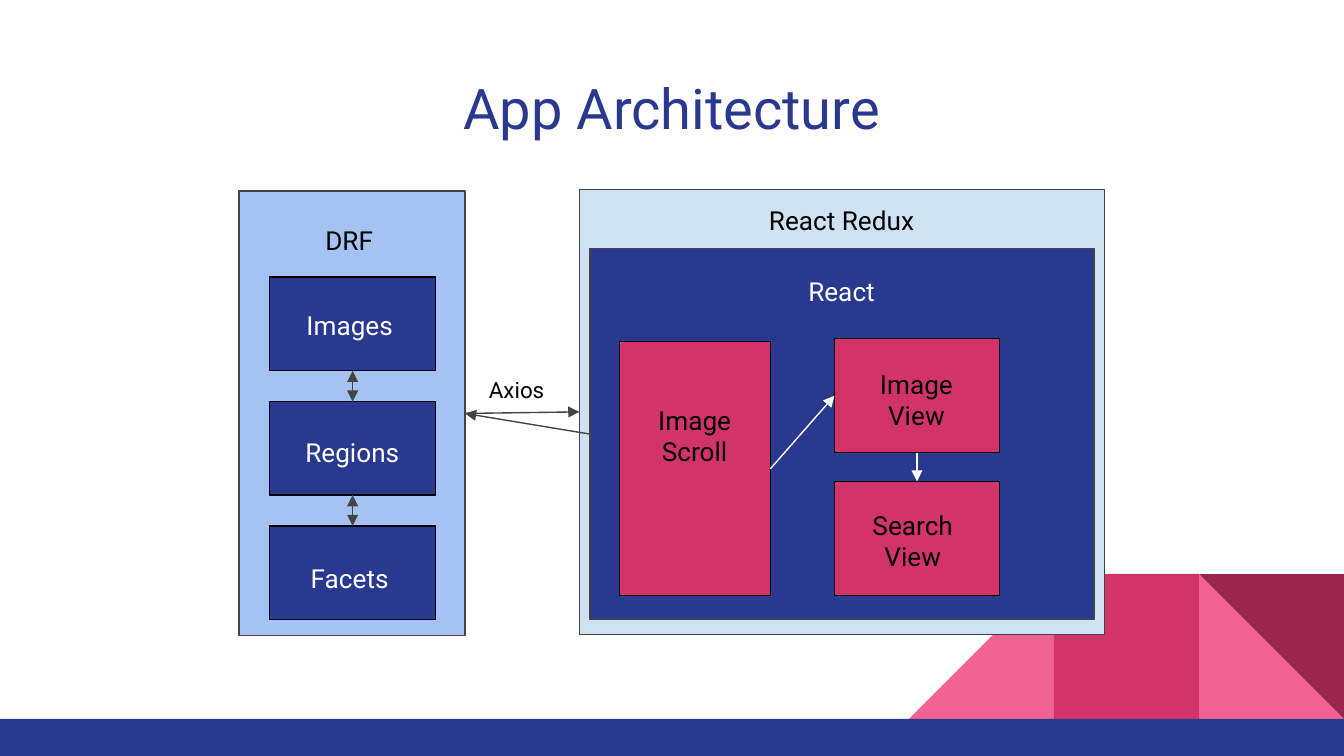
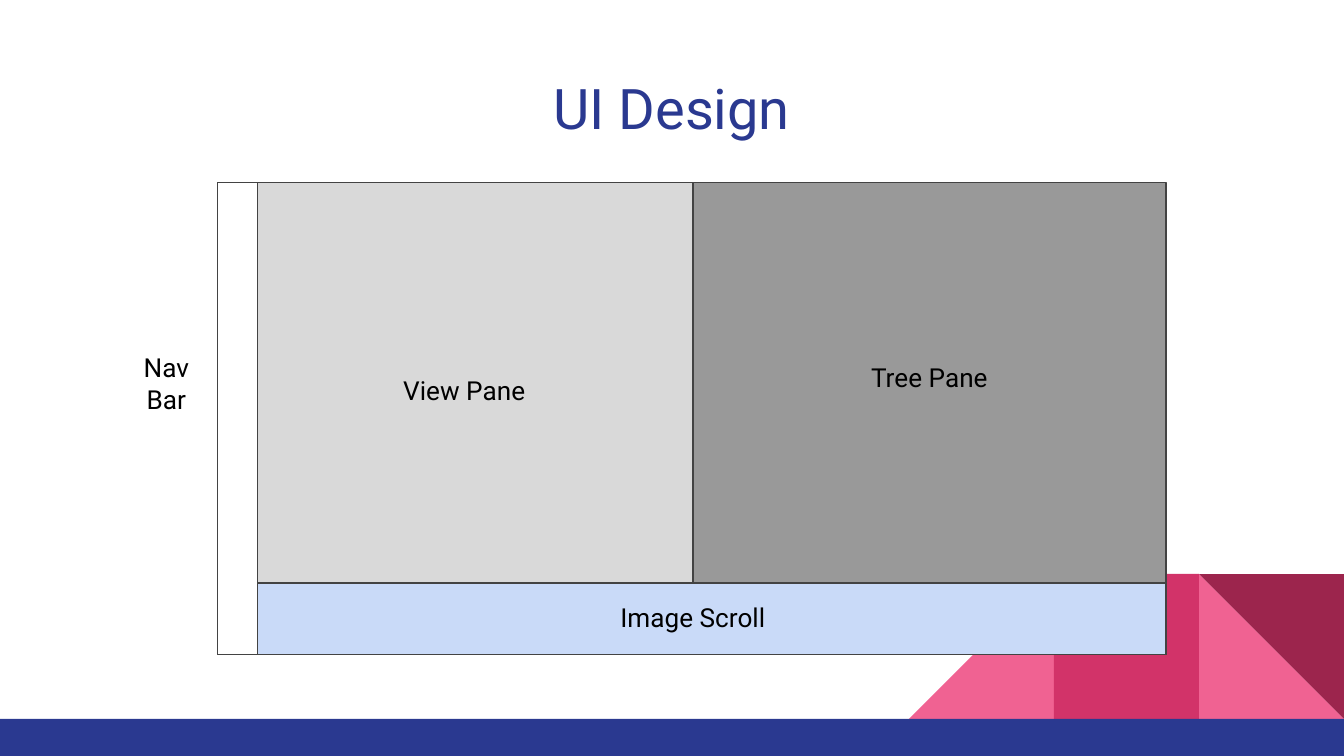
from lxml import etree
from pptx import Presentation
from pptx.dml.color import RGBColor
from pptx.enum.shapes import MSO_CONNECTOR, MSO_SHAPE
from pptx.enum.text import MSO_ANCHOR, MSO_AUTO_SIZE, PP_ALIGN
from pptx.oxml.ns import qn
from pptx.util import Cm, Pt

C = {
    "navy": "2A3990", "pink": "F06292", "crimson": "D23369", "wine": "9C254D",
    "blue": "A4C2F4", "sky": "CFE2F3", "ice": "C9DAF8", "light": "D9D9D9",
    "gray": "999999", "dark": "434343", "black": "000000", "white": "FFFFFF",
}
FONT = "Roboto"
FRAME = {
    "word_wrap": True, "auto_size": MSO_AUTO_SIZE.NONE,
    "margin_left": Cm(0.25), "margin_right": Cm(0.25),
    "margin_top": Cm(0.25), "margin_bottom": Cm(0.25),
}


def box(s, at, fill, line=None, preset=MSO_SHAPE.RECTANGLE):
    sp = s.shapes.add_shape(preset, *map(Cm, at))
    sp.shadow.inherit = False
    sp.fill.solid()
    sp.fill.fore_color.rgb = RGBColor.from_string(C[fill])
    if line:
        sp.line.color.rgb = RGBColor.from_string(C[line])
        sp.line.width = Pt(0.75)
    else:
        sp.line.fill.background()
    return sp


def write(sp, text, color="black", size=14, align=PP_ALIGN.CENTER, anchor=MSO_ANCHOR.TOP):
    tf = sp.text_frame
    tf.text = text
    for key, value in {**FRAME, "vertical_anchor": anchor}.items():
        setattr(tf, key, value)
    for p in tf.paragraphs:
        p.alignment = align
        for r in p.runs:
            r.font.color.rgb = RGBColor.from_string(C[color])
            for key, value in {"name": FONT, "size": Pt(size)}.items():
                setattr(r.font, key, value)


prs = Presentation()
prs.slide_width, prs.slide_height = Cm(25.4), Cm(14.29)
layout = prs.slide_layouts[5]

# Layout keeps only its title placeholder
for ph in list(layout.placeholders)[1:]:
    ph.element.getparent().remove(ph.element)

# Slides with their titles
slides = []
for title in ("App Architecture", "UI Design"):
    s = prs.slides.add_slide(layout)
    sp = s.shapes.title
    for key, value in {"left": 0.86, "top": 1.14, "width": 23.67, "height": 1.68}.items():
        setattr(sp, key, Cm(value))
    write(sp, title, "navy", 30)
    slides.append(s)
architecture, design = slides

# Shared corner and footer band, moved into the layout
side, corner_top = 2.74, 10.85
corner = [
    (2, "pink", MSO_SHAPE.RIGHT_TRIANGLE, 0),
    (0, "pink", MSO_SHAPE.RIGHT_TRIANGLE, 270),
    (1, "crimson", MSO_SHAPE.RECTANGLE, 0),
    (2, "wine", MSO_SHAPE.RIGHT_TRIANGLE, 180),
]
decor = []
for col, fill, preset, rotation in corner:
    sp = box(architecture, (17.18 + col * side, corner_top, side, side), fill, preset=preset)
    sp.rotation = rotation
    decor.append(sp)
decor.append(box(architecture, (0, corner_top + side, 25.4, 0.7), "navy"))
for sp in decor:
    layout.shapes.element.append(sp.element)

# Architecture: back end
s = architecture
drf = box(s, (4.52, 3.61, 4.27, 8.41), "blue", "dark")
models = [box(s, (5.1, 5.24 + i * 2.35, 3.13, 1.77), "navy", "black") for i in range(3)]

# Architecture: front end
redux = box(s, (10.95, 3.58, 9.93, 8.41), "sky", "dark")
react = box(s, (11.15, 4.7, 9.53, 7.01), "navy", "dark")
scroll = box(s, (11.71, 6.46, 2.85, 4.8), "crimson", "black")
view, search = [box(s, (15.77, y, 3.12, 2.16), "crimson", "black") for y in (6.4, 9.1)]

# Architecture: labels
for at, text, color in [
    ((5.18, 3.99, 2.84, 0.86), "DRF", "black"),
    ((5.44, 5.59, 2.34, 0.86), "Images", "white"),
    ((5.49, 7.99, 2.34, 0.86), "Regions", "white"),
    ((5.44, 10.39, 2.34, 0.86), "Facets", "white"),
    ((12.88, 3.61, 6.05, 0.86), "React Redux", "black"),
    ((13.77, 4.95, 4.27, 0.86), "React", "white"),
    ((11.96, 7.39, 2.34, 2.08), "Image\nScroll", "black"),
    ((16.15, 6.71, 2.34, 1.12), "Image View", "black"),
    ((16.08, 9.37, 2.34, 1.42), "Search\nView", "black"),
]:
    write(s.shapes.add_textbox(*map(Cm, at)), text, color)
axios = s.shapes.add_textbox(Cm(8.99), Cm(6.86), Cm(1.78), Cm(0.58))
write(axios, "Axios", size=12, align=PP_ALIGN.LEFT)

# Architecture: arrows (sites: 0 top, 1 left, 2 bottom, 3 right)
arrows = [
    (drf, 3, redux, 1, "dark"),
    (scroll, 3, view, 1, "white"),
    (view, 2, search, 0, "white"),
    (react, 1, drf, 3, "dark"),
]
for upper, lower in zip(models, models[1:]):
    arrows += [(upper, 2, lower, 0, "dark"), (lower, 0, upper, 2, "dark")]
for start, start_site, end, end_site, color in arrows:
    line = s.shapes.add_connector(MSO_CONNECTOR.STRAIGHT, 0, 0, 0, 0)
    line.begin_connect(start, start_site)
    line.end_connect(end, end_site)
    line.line.color.rgb = RGBColor.from_string(C[color])
    line.line.width = Pt(0.75)
    spPr = line.element.spPr
    etree.SubElement(spPr.find(qn("a:ln")), qn("a:tailEnd"), type="triangle")
    etree.SubElement(spPr, qn("a:effectLst"))

# UI design: panes
s = design
for at, fill in [
    ((4.11, 3.45, 17.93, 8.92), "gray"),
    ((4.11, 3.45, 0.76, 8.92), "white"),
    ((4.87, 11.02, 17.17, 1.35), "ice"),
    ((4.87, 3.45, 8.23, 7.57), "light"),
]:
    box(s, at, fill, "dark")

# UI design: labels
for at, text, anchor in [
    ((6.35, 5.28, 4.85, 4.17), "View Pane", MSO_ANCHOR.MIDDLE),
    ((15.14, 5.05, 4.85, 4.17), "Tree Pane", MSO_ANCHOR.MIDDLE),
    ((10.67, 11.13, 4.85, 0.46), "Image Scroll", MSO_ANCHOR.TOP),
    ((2.18, 6.07, 1.93, 2.34), "Nav\nBar", MSO_ANCHOR.MIDDLE),
]:
    write(s.shapes.add_textbox(*map(Cm, at)), text, anchor=anchor)

prs.save("out.pptx")
